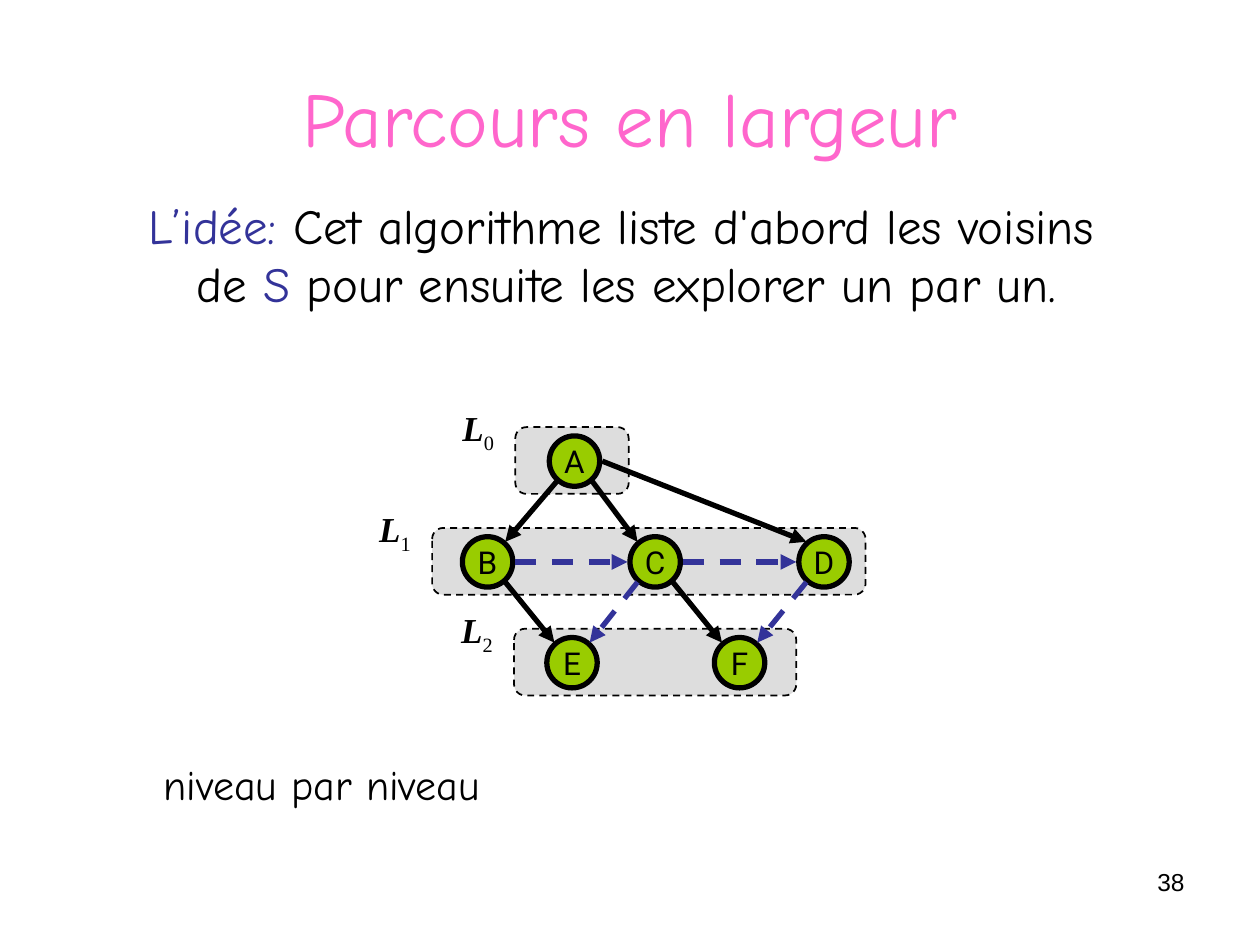
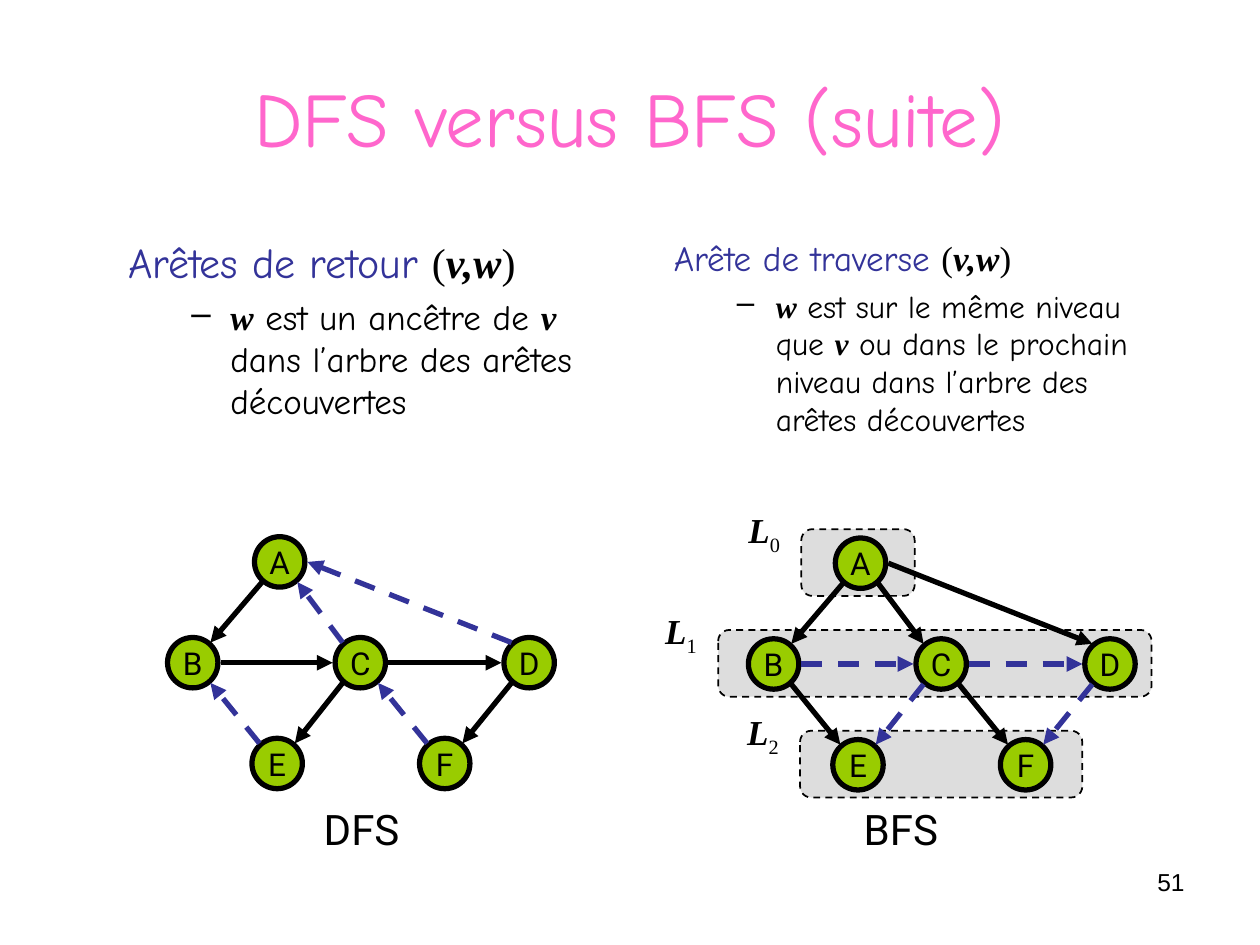
from dataclasses import dataclass
from typing import NamedTuple

from lxml.etree import SubElement
from pptx import Presentation
from pptx.dml.color import RGBColor
from pptx.enum.dml import MSO_LINE
from pptx.enum.shapes import MSO_CONNECTOR, MSO_SHAPE
from pptx.enum.text import MSO_ANCHOR, MSO_AUTO_SIZE, PP_ALIGN
from pptx.oxml.ns import qn
from pptx.util import Emu, Pt

PX = 9144  # 100 px to the inch


@dataclass(frozen=True)
class Theme:
    pink: str = "FF66CC"
    blue: str = "333399"
    green: str = "99CC00"
    grey: str = "DDDDDD"
    black: str = "000000"
    hand: str = "Comic Neue"
    sans: str = "Roboto"
    serif: str = "Times New Roman"
    plain: str = "Arial"
    title: int = 44
    lead: int = 28
    caption: int = 24
    level: int = 20
    node: int = 18
    number: int = 14
    thick: int = 3
    thin: int = 1


T = Theme()


class Box(NamedTuple):
    x: int
    y: int
    w: int
    h: int


class Run(NamedTuple):
    text: str
    font: str = T.hand
    color: str = T.black
    strong: bool = False  # bold italic
    sub: bool = False


class Edge(NamedTuple):
    ends: str  # start node, end node
    dashed: bool = False


# Graph positions are measured from the top left corner of node B.
NODE = 40
NODES = {"A": (69, -80), "B": (0, 0), "C": (133, 0),
         "D": (267, 0), "E": (67, 80), "F": (200, 80)}
BANDS = [Box(42, -87, 90, 53), Box(-24, -7, 344, 53), Box(41, 73, 224, 53)]
BFS_EDGES = [Edge("AB"), Edge("AC"), Edge("AD"), Edge("BE"), Edge("CF"),
             Edge("BC", True), Edge("CD", True), Edge("CE", True), Edge("DF", True)]
DFS_EDGES = [Edge("AB"), Edge("BC"), Edge("CD"), Edge("CE"), Edge("DF"),
             Edge("CA", True), Edge("DA", True), Edge("EB", True), Edge("FC", True)]


def rgb(color: str) -> RGBColor:
    return RGBColor.from_string(color)


def emu(*lengths: int) -> list[Emu]:
    return [Emu(n * PX) for n in lengths]


def var(name: str) -> Run:
    return Run(name, T.serif, strong=True)


def add_text(tf, runs: list[Run], *, size: int, align=PP_ALIGN.LEFT, hang: int = 0,
             left: int = 0, before: float = 0, bullet: str = "") -> None:
    """Fill the empty first paragraph of tf, or append a new one."""
    p = tf.paragraphs[0] if not tf.text else tf.add_paragraph()
    p.alignment = align
    if before:
        p.space_before = Pt(before)
    pPr = p._p.get_or_add_pPr()
    if left:
        pPr.set("marL", str(left * PX))
        pPr.set("indent", str(-hang * PX))
    if bullet:
        p.level = 1
        clr = SubElement(pPr, qn("a:buClr"))
        SubElement(clr, qn("a:srgbClr")).set("val", T.black)
        SubElement(pPr, qn("a:buChar")).set("char", bullet)
    for run in runs:
        r = p.add_run()
        r.text = run.text
        f = r.font
        f.name, f.size, f.color.rgb = run.font, Pt(size), rgb(run.color)
        f.bold = f.italic = run.strong
        if run.sub:
            r._r.get_or_add_rPr().set("baseline", "-25000")


def add_box(shapes, box: Box, wrap: bool = True):
    tf = shapes.add_textbox(*emu(*box)).text_frame
    tf.word_wrap = wrap
    return tf


def add_label(shapes, box: Box, runs: list[Run], *, wrap: bool = True, **fmt) -> None:
    add_text(add_box(shapes, box, wrap), runs, **fmt)


def add_preset(shapes, kind, box: Box, fill: str, width: int):
    sp = shapes.add_shape(kind, *emu(*box))
    sp.shadow.inherit = False
    sp.fill.solid()
    sp.fill.fore_color.rgb = rgb(fill)
    sp.line.color.rgb = rgb(T.black)
    sp.line.width = Pt(width)
    return sp


def add_node(shapes, name: str, x: int, y: int) -> None:
    sp = add_preset(shapes, MSO_SHAPE.OVAL, Box(x, y, NODE, NODE), T.green, T.thick)
    tf = sp.text_frame
    tf.word_wrap = False
    tf.vertical_anchor = MSO_ANCHOR.MIDDLE
    add_text(tf, [Run(name, T.sans)], size=T.node, align=PP_ALIGN.CENTER)


def port(name: str, other: str) -> tuple[int, int]:
    """Point where an edge to the other node meets this one.

    Level edges, and wide ones going down, use the side of the node.
    """
    (x, y), (ox, oy) = NODES[name], NODES[other]
    dx, dy = ox - x, oy - y
    side = dy == 0 or (dy > 0 and abs(dx) > 2 * dy)
    reach, drop = (22, 0) if side else (14, 16)
    return (x + NODE // 2 + (reach if dx > 0 else -reach),
            y + NODE // 2 + (drop if dy > 0 else -drop))


def add_edge(shapes, edge: Edge, x: int, y: int) -> None:
    a, b = edge.ends
    (x1, y1), (x2, y2) = port(a, b), port(b, a)
    c = shapes.add_connector(MSO_CONNECTOR.STRAIGHT,
                             *emu(x + x1, y + y1, x + x2, y + y2))
    c.line.color.rgb = rgb(T.blue if edge.dashed else T.black)
    c.line.width = Pt(T.thick)
    if edge.dashed:
        c.line.dash_style = MSO_LINE.DASH
    SubElement(c.line._get_or_add_ln(), qn("a:tailEnd")).set("type", "triangle")
    SubElement(c._element.spPr, qn("a:effectLst"))


def add_graph(shapes, x: int, y: int, edges: list[Edge], levels: bool = False) -> None:
    bands = [Box(x + b.x, y + b.y, b.w, b.h) for b in BANDS] if levels else []
    for band in bands:
        sp = add_preset(shapes, MSO_SHAPE.ROUNDED_RECTANGLE, band, T.grey, T.thin)
        sp.line.dash_style = MSO_LINE.DASH
    for name, (dx, dy) in NODES.items():
        add_node(shapes, name, x + dx, y + dy)
    for edge in edges:
        add_edge(shapes, edge, x, y)
    for i, band in enumerate(bands):
        add_label(shapes, Box(band.x - 55, band.y - 21, 51, 48),
                  [var("L"), Run(str(i), T.serif, sub=True)],
                  size=T.level, align=PP_ALIGN.CENTER)


def add_slide(prs, title: str, number: int):
    s = prs.slides.add_slide(prs.slide_layouts[5])
    sp = s.shapes.title
    sp.left, sp.top, sp.width, sp.height = emu(50, 30, 900, 125)
    tf = sp.text_frame
    tf.auto_size = MSO_AUTO_SIZE.NONE
    tf.vertical_anchor = MSO_ANCHOR.MIDDLE
    add_text(tf, [Run(title, color=T.pink)], size=T.title, align=PP_ALIGN.CENTER)
    add_label(s.shapes, Box(717, 683, 233, 52), [Run(str(number), T.plain)],
              size=T.number, align=PP_ALIGN.RIGHT)
    return s


def add_definition(shapes, box: Box, term: str, meaning: list[Run], *,
                   size: int, detail: int) -> None:
    tf = add_box(shapes, box)
    add_text(tf, [Run(term, color=T.blue), Run("(", T.serif), var("v,w"),
                  Run(")", T.serif)], size=size, left=38, hang=38)
    add_text(tf, meaning, size=detail, left=81, hang=31, before=detail / 4, bullet="–")


def breadth_first_slide(prs) -> None:
    s = add_slide(prs, "Parcours en largeur", 38)
    idea = [Run("L’idée:", color=T.blue),
            Run(" Cet algorithme liste d'abord les voisins de "),
            Run("S", color=T.blue),
            Run(" pour ensuite les explorer un par un.")]
    add_label(s.shapes, Box(108, 150, 800, 233), idea, size=T.lead, left=38, hang=38)
    add_graph(s.shapes, 367, 426, BFS_EDGES, levels=True)
    add_label(s.shapes, Box(120, 597, 272, 50), [Run("niveau par niveau")],
              size=T.caption, wrap=False)


def comparison_slide(prs) -> None:
    s = add_slide(prs, "DFS versus BFS (suite)", 51)
    add_definition(s.shapes, Box(92, 183, 417, 232), "Arêtes de retour ",
                   [var("w"), Run(" est un ancêtre de "), var("v"),
                    Run(" dans l’arbre des arêtes découvertes")],
                   size=24, detail=20)
    add_definition(s.shapes, Box(525, 183, 417, 211), "Arête de traverse ",
                   [var("w"), Run(" est sur le même niveau que "), var("v"),
                    Run(" ou dans le prochain niveau dans l’arbre des arêtes découvertes")],
                   size=20, detail=18)
    add_graph(s.shapes.add_group_shape().shapes, 594, 507, BFS_EDGES, levels=True)
    add_graph(s.shapes, 133, 506, DFS_EDGES)
    for name, x in (("DFS", 200), ("BFS", 628)):
        add_label(s.shapes, Box(x, 633, 174, 50), [Run(name, T.sans)],
                  size=T.caption, align=PP_ALIGN.CENTER)


def main() -> None:
    prs = Presentation()
    prs.slide_width, prs.slide_height = emu(1000, 750)
    breadth_first_slide(prs)
    comparison_slide(prs)
    prs.save("out.pptx")


if __name__ == "__main__":
    main()
